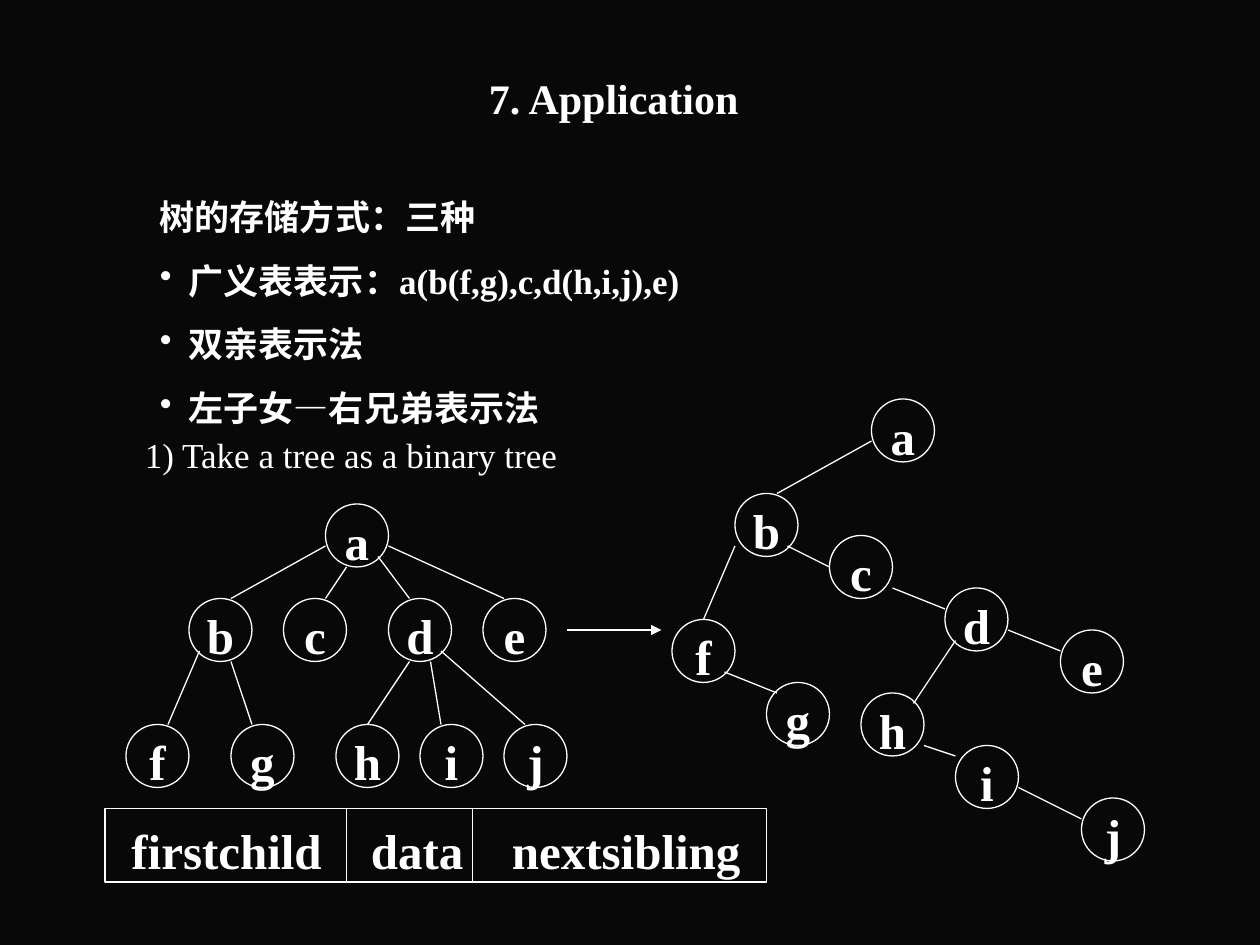
from lxml.etree import SubElement
from pptx import Presentation
from pptx.dml.color import RGBColor
from pptx.enum.shapes import MSO_CONNECTOR, MSO_SHAPE
from pptx.enum.text import MSO_ANCHOR, PP_ALIGN
from pptx.oxml.ns import qn
from pptx.util import Inches, Pt

COLORS = {"background": "080808", "ink": "FFFFFF"}
FONT = "Times New Roman"
GRID = 12
NODE_SIZE = 6

TITLE = "7. Application"
STORAGE_HEADING = "树的存储方式：三种"
STORAGE_METHODS = [
    "广义表表示：a(b(f,g),c,d(h,i,j),e)",
    "双亲表示法",
    "左子女—右兄弟表示法",
]
STEP = "1) Take a tree as a binary tree"

GENERAL_TREE = {
    "nodes": {
        "a": (31, 48), "b": (18, 57), "c": (27, 57), "d": (37, 57), "e": (46, 57),
        "f": (12, 69), "g": (22, 69), "h": (32, 69), "i": (40, 69), "j": (48, 69),
    },
    "edges": [
        (31, 52, 22, 57), (33, 54, 31, 57), (36, 53, 39, 57), (37, 52, 48, 57),
        (19, 62, 16, 69), (22, 63, 24, 69), (39, 63, 35, 69), (41, 63, 42, 69),
        (42, 62, 50, 69),
    ],
}
BINARY_TREE = {
    "nodes": {
        "a": (83, 38), "b": (70, 47), "c": (79, 51), "d": (90, 56), "e": (101, 60),
        "f": (64, 59), "g": (73, 65), "h": (82, 66), "i": (91, 71), "j": (103, 76),
    },
    "edges": [
        (83, 42, 74, 47), (70, 52, 67, 59), (91, 61, 87, 67), (85, 56, 90, 58),
        (97, 75, 103, 78), (96, 60, 101, 62), (75, 52, 79, 54), (69, 64, 74, 66),
        (88, 71, 91, 72),
    ],
}
RECORD = {"fields": ["firstchild", "data", "nextsibling"], "frame": (10, 77, 63, 7),
          "dividers": [33, 45], "tabs": [1.9, 3.02]}
ARROW = (54, 60, 63, 60)


def color(name):
    return RGBColor.from_string(COLORS[name])


def grid(*units):
    return [Inches(unit / GRID) for unit in units]


def write(para, text, size=28, bold=True, align=PP_ALIGN.LEFT, before=0, bullet=None, tabs=()):
    props = para._p.get_or_add_pPr()
    if bullet:
        props.set("marL", str(Inches(0.23)))
        props.set("indent", str(-Inches(0.23)))
        SubElement(props, qn("a:buChar"), char=bullet)
    if tabs:
        stops = SubElement(props, qn("a:tabLst"))
        for tab in tabs:
            SubElement(stops, qn("a:tab"), pos=str(Inches(tab)), algn="l")
    para.alignment = align
    para.space_before = Pt(before)
    span = para.add_run()
    span.text = text
    span.font.name = FONT
    span.font.size = Pt(size)
    span.font.bold = bold
    span.font.color.rgb = color("ink")


def set_frame(shape, left=0.1, top=0.05, bottom=0.05, anchor=MSO_ANCHOR.TOP, wrap=True):
    frame = shape.text_frame
    frame.margin_left, frame.margin_right = Inches(left), Inches(0.1)
    frame.margin_top, frame.margin_bottom = Inches(top), Inches(bottom)
    frame.vertical_anchor = anchor
    frame.word_wrap = wrap
    return frame


def add_outline(shapes, kind, box, text, left=0.1, wrap=False, **style):
    shape = shapes.add_shape(kind, *grid(*box))
    shape.shadow.inherit = False
    shape.fill.background()
    shape.line.color.rgb = color("ink")
    shape.line.width = Pt(0.75)
    frame = set_frame(shape, left, 0.08, 0, MSO_ANCHOR.MIDDLE, wrap)
    write(frame.paragraphs[0], text, **style)


def add_line(shapes, ends, arrow=False):
    line = shapes.add_connector(MSO_CONNECTOR.STRAIGHT, *grid(*ends))
    line.line.color.rgb = color("ink")
    line.line.width = Pt(0.75)
    if arrow:
        SubElement(line.line._get_or_add_ln(), qn("a:tailEnd"), type="triangle")
    SubElement(line._element.spPr, qn("a:effectLst"))


def add_tree(page, tree):
    shapes = page.shapes.add_group_shape().shapes
    for name, corner in tree["nodes"].items():
        add_outline(shapes, MSO_SHAPE.OVAL, (*corner, NODE_SIZE, NODE_SIZE), name,
                    align=PP_ALIGN.CENTER)
    for ends in tree["edges"]:
        add_line(shapes, ends)


def add_record(page):
    shapes = page.shapes.add_group_shape().shapes
    left, top, width, height = RECORD["frame"]
    add_outline(shapes, MSO_SHAPE.RECTANGLE, RECORD["frame"], "\t".join(RECORD["fields"]),
                left=0.21, wrap=True, tabs=RECORD["tabs"])
    for x in RECORD["dividers"]:
        add_line(shapes, (x, top, x, top + height))


def main():
    """Build the slide on storing a tree as a binary tree."""
    deck = Presentation()
    deck.slide_width, deck.slide_height = Inches(10), Inches(7.5)
    page = deck.slides.add_slide(deck.slide_layouts[5])
    page.background.fill.solid()
    page.background.fill.fore_color.rgb = color("background")

    title = page.shapes.title
    title.left, title.top = Inches(0.67), Inches(0.25)
    title.width, title.height = Inches(8.83), Inches(0.92)
    frame = set_frame(title, left=3.21, top=0.18, anchor=MSO_ANCHOR.MIDDLE)
    write(frame.paragraphs[0], TITLE, size=24)

    step = page.shapes.add_textbox(Inches(0.75), Inches(3.25), Inches(8.5), Inches(3.42))
    frame = set_frame(step, left=0.4, top=0.19)
    write(frame.paragraphs[0], STEP, size=20, bold=False)

    add_tree(page, GENERAL_TREE)
    add_record(page)
    add_tree(page, BINARY_TREE)
    add_line(page.shapes, ARROW, arrow=True)

    storage = page.shapes.add_textbox(Inches(1.17), Inches(1.5), Inches(7), Inches(1.96))
    frame = set_frame(storage)
    write(frame.paragraphs[0], STORAGE_HEADING, size=20)
    for method in STORAGE_METHODS:
        write(frame.add_paragraph(), method, size=20, before=12.5, bullet="•")

    deck.save("out.pptx")


if __name__ == "__main__":
    main()
